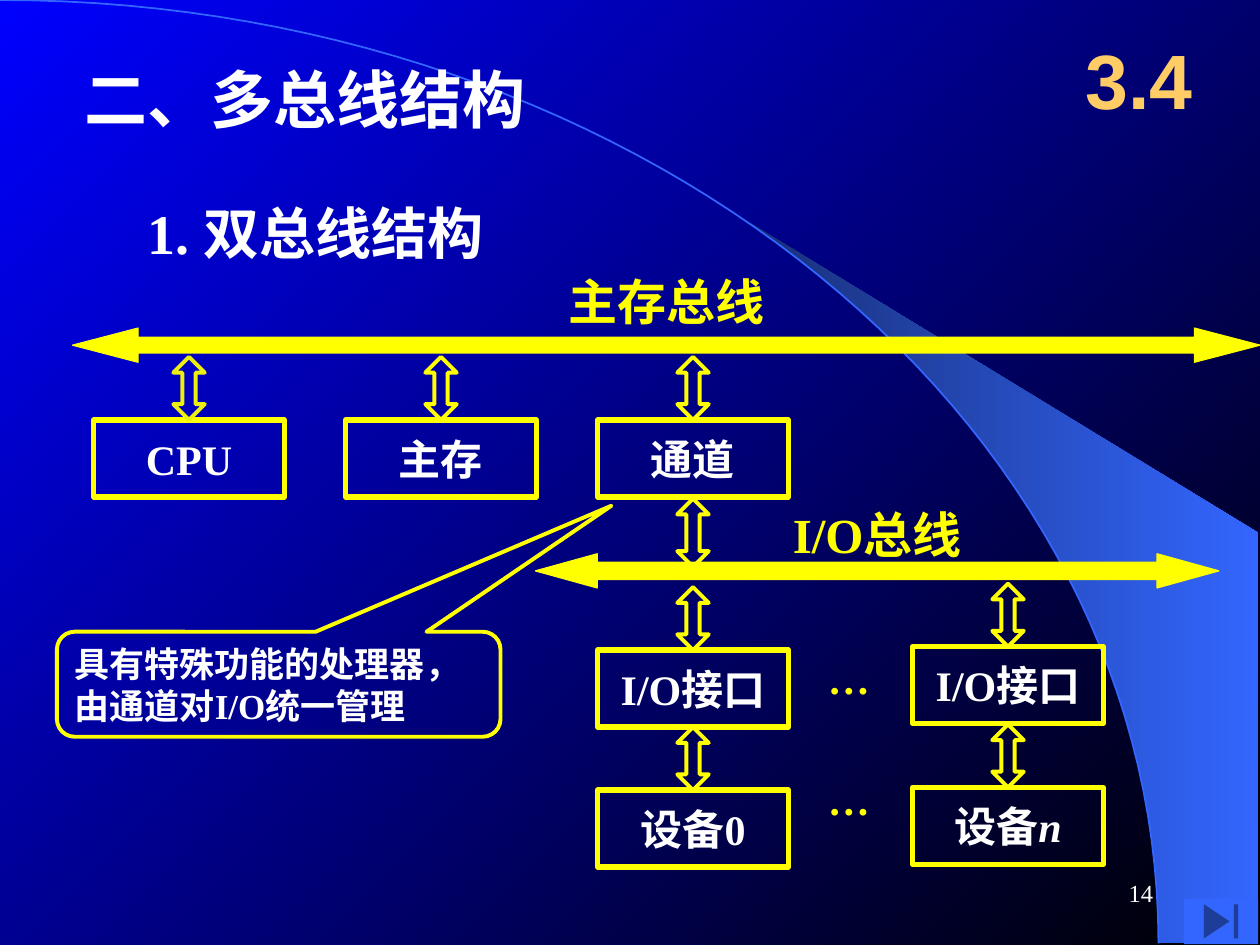
from lxml import etree
from pptx import Presentation
from pptx import util as u
from pptx.dml import color as c
from pptx.enum import shapes, text
from pptx.oxml import ns

Pt = u.Pt
SERIF, CJK, SANS = "Times New Roman", "Noto Sans CJK SC", "Arial"
YELLOW, WHITE, BLUE = "FFFF00", "FFFFFF", "3366FF"
LEFT, CENTER, RIGHT = text.PP_ALIGN.LEFT, text.PP_ALIGN.CENTER, text.PP_ALIGN.RIGHT


def rgb(value):
    return c.RGBColor.from_string(value)


def write(shape, lines, size, color=WHITE, align=LEFT, name=SERIF, bold=True,
          margins=(7.2, 3.6), spacing=None):
    frame = shape.text_frame
    horizontal, vertical = margins
    layout = {"word_wrap": True, "vertical_anchor": text.MSO_ANCHOR.MIDDLE,
              "margin_left": Pt(horizontal), "margin_right": Pt(horizontal),
              "margin_top": Pt(vertical), "margin_bottom": Pt(vertical)}
    for key, value in layout.items():
        setattr(frame, key, value)
    for index, line in enumerate(lines):
        paragraph = frame.add_paragraph() if index else frame.paragraphs[0]
        paragraph.alignment = align
        if spacing:
            paragraph.line_spacing = Pt(spacing)
        for part in line:
            run = paragraph.add_run()
            run.text = part
            style = {"size": Pt(size), "bold": bold, "name": name, "italic": part == "n"}
            for key, value in style.items():
                setattr(run.font, key, value)
            run.font.color.rgb = rgb(color)
            latin = run.font._element.find(ns.qn("a:latin"))
            east_asian = etree.Element(ns.qn("a:ea"), typeface=CJK)
            latin.addnext(east_asian)


presentation = Presentation()
presentation.slide_width, presentation.slide_height = Pt(720), Pt(540)
slide = presentation.slides.add_slide(presentation.slide_layouts[5])

start, control_1, control_2, end = (0, 0), (366, 0), (662, 241), (662, 539)
arc_points = []
for step in range(61):
    t = step / 60
    weights = ((1 - t) ** 3, 3 * t * (1 - t) ** 2, 3 * t ** 2 * (1 - t), t ** 3)
    arc_points.append(tuple(
        sum(weight * point[axis] for weight, point in
            zip(weights, (start, control_1, control_2, end)))
        for axis in (0, 1)))
crescent_points = [(424, 124.5)] + [point for point in arc_points if point[0] > 424]
crescent_points += [(719, 539), (719, 304.5)]

curves = []
for points, closed in ((crescent_points, True), (arc_points, False)):
    (first_x, first_y), *rest = points
    builder = slide.shapes.build_freeform(Pt(first_x), Pt(first_y))
    builder.add_line_segments([(Pt(x), Pt(y)) for x, y in rest], close=closed)
    curve = builder.convert_to_shape()
    curve.shadow.inherit = False
    curves.append(curve)
crescent, arc = curves
crescent.line.fill.background()
arc.fill.background()
arc.line.color.rgb = rgb(BLUE)
arc.line.width = Pt(1)

for fill, angle, colors in ((slide.background.fill, 315, ("0000FF", "000000")),
                            (crescent.fill, 0, ("182F76", BLUE))):
    fill.gradient()
    fill.gradient_angle = angle
    for position, (stop, value) in enumerate(zip(fill.gradient_stops, colors)):
        stop.position = position
        stop.color.rgb = rgb(value)

title = slide.shapes.title
title.left, title.top, title.width, title.height = Pt(41), Pt(31), Pt(290), Pt(50.5)
write(title, [["二、多总线结构"]], 36)
slide.shapes._spTree.append(title._element)

labels = [
    ("1. 双总线结构", (77, 109.5, 250, 46), dict(size=32)),
    ("主存总线", (325, 155, 191.5, 34),
     dict(size=28, color=YELLOW, name=CJK, margins=(0, 0))),
    ("I/O总线", (453, 288, 159, 34), dict(size=28, color=YELLOW, margins=(0, 0))),
    ("…", (466, 369.5, 38, 36), dict(size=24, color=YELLOW)),
    ("…", (466, 438.5, 38, 36), dict(size=24, color=YELLOW)),
    ("3.4", (606, 12, 90, 66), dict(size=44, color="FFCC66", align=CENTER, name=SANS)),
    ("14", (516, 492, 150, 36), dict(size=14, align=RIGHT, bold=False)),
]
for label, place, options in labels:
    write(slide.shapes.add_textbox(*map(Pt, place)), [[label]], **options)

box_width, box_height = 109, 44
arrow_width, arrow_height = 18, 36
kinds = shapes.MSO_SHAPE
boxes = [
    (["CPU"], 53.5, 240, SERIF, "EBF010"),
    (["主存"], 197.5, 240, CJK, YELLOW),
    (["通道"], 341.5, 240, CJK, YELLOW),
    (["I/O接口"], 341.5, 371.5, SERIF, YELLOW),
    (["I/O接口"], 521.5, 369.5, SERIF, YELLOW),
    (["设备0"], 341.5, 451.5, SERIF, YELLOW),
    (["设备", "n"], 521.5, 450, SERIF, YELLOW),
]
inset = (box_width - arrow_width) / 2
outlines = [(kinds.UP_DOWN_ARROW, (341.5 + inset, 285, arrow_width, 39), YELLOW, 2.25, (0.5, 0.42))]
for label, left, top, name, arrow_color in boxes:
    box = slide.shapes.add_shape(kinds.RECTANGLE, Pt(left), Pt(top), Pt(box_width), Pt(box_height))
    box.shadow.inherit = False
    box.fill.background()
    box.line.color.rgb = rgb(YELLOW)
    box.line.width = Pt(3)
    write(box, [label], 24, align=CENTER, name=name, margins=(0, 0))
    outlines.append((kinds.UP_DOWN_ARROW, (left + inset, top - arrow_height, arrow_width, arrow_height),
                     arrow_color, 2.25, (0.5, 0.42)))

callout_place = (32.5, 361, 253.5, 60)
outlines.append((kinds.ROUNDED_RECTANGULAR_CALLOUT, callout_place, YELLOW, 2.25, (0.75, -1.7, 0.17)))
outlines.append((kinds.LEFT_RIGHT_ARROW, (41.5, 187.5, 678.5, 19.5), YELLOW, 0.75, (0.46, 1.92)))
outlines.append((kinds.LEFT_RIGHT_ARROW, (306, 316.5, 390.5, 19.5), YELLOW, 0.75, (0.5, 1.81)))
for kind, place, color, width, adjustments in outlines:
    shape = slide.shapes.add_shape(kind, *map(Pt, place))
    shape.shadow.inherit = False
    for index, value in enumerate(adjustments):
        shape.adjustments[index] = value
    shape.line.color.rgb = rgb(color)
    shape.line.width = Pt(width)
    if kind == kinds.LEFT_RIGHT_ARROW:
        shape.fill.solid()
        shape.fill.fore_color.rgb = rgb(YELLOW)
    else:
        shape.fill.background()
    if kind == kinds.ROUNDED_RECTANGULAR_CALLOUT:
        write(shape, [["具有特殊功能的处理器，"], ["由通道对I/O统一管理"]], 20, spacing=24)

button = slide.shapes.add_shape(kinds.ACTION_BUTTON_END, Pt(676.5), Pt(513.5), Pt(42.5), Pt(26))
button.shadow.inherit = False
button.fill.solid()
button.fill.fore_color.rgb = rgb(BLUE)
button.line.fill.background()

presentation.save("out.pptx")
